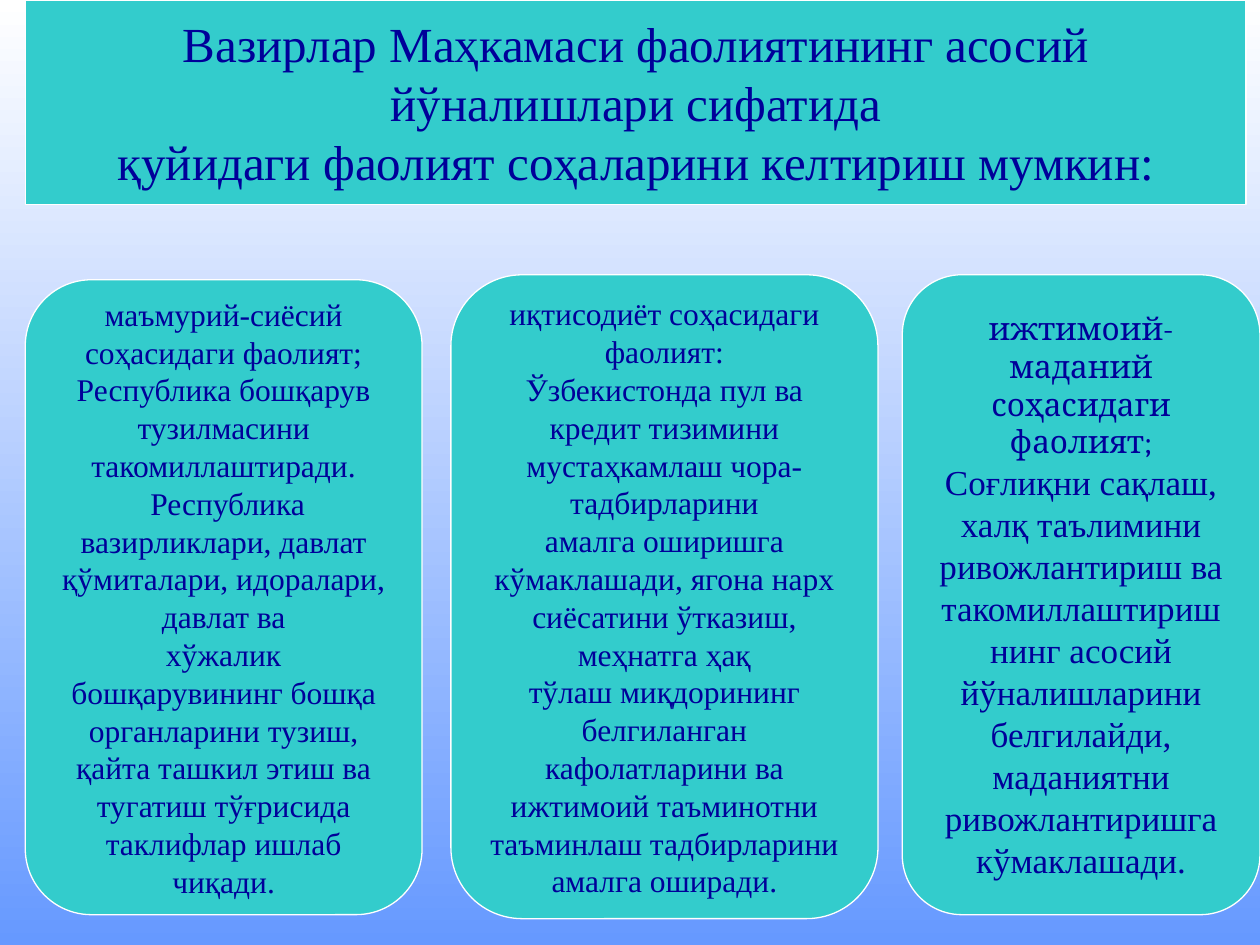
"""Build a slide on the main fields of activity of the Cabinet of Ministers."""
from dataclasses import dataclass

from lxml.etree import SubElement
from pptx import Presentation
from pptx.dml.color import RGBColor as Rgb
from pptx.enum.shapes import MSO_SHAPE as Shape
from pptx.enum.text import MSO_ANCHOR as Anchor, MSO_AUTO_SIZE as AutoSize, PP_ALIGN as Align
from pptx.oxml.ns import qn
from pptx.util import Cm, Pt


@dataclass(frozen=True)
class Theme:
    """Colours, fonts and type sizes of the slide."""
    panel: Rgb = Rgb(0x33, 0xCC, 0xCC)
    outline: Rgb = Rgb(0xFF, 0xFF, 0xFF)
    ink: Rgb = Rgb(0x00, 0x00, 0x99)
    sky: tuple = (Rgb(0xFF, 0xFF, 0xFF), Rgb(0x66, 0x99, 0xFF))
    heading: tuple = ("Times New Roman", 28)
    body: tuple = ("Times New Roman", 18)
    lead: tuple = ("Cambria", 18)
    large: tuple = ("Times New Roman", 20)


THEME = Theme()

HEADING = [
    "Вазирлар Маҳкамаси фаолиятининг асосий йўналишлари сифатида",
    "қуйидаги фаолият соҳаларини келтириш мумкин:",
]
HEADING_BOX = (0.51, 0, 24.61, 4.12)

FIELDS = [
    {
        "box": (0.51, 5.64, 8.0, 12.8),
        "styles": (THEME.body, THEME.body),
        "lines": [
            "маъмурий-сиёсий соҳасидаги фаолият;",
            "Республика бошқарув тузилмасини такомиллаштиради.",
            " Республика вазирликлари, давлат қўмиталари, идоралари, давлат ва",
            "хўжалик бошқарувининг бошқа органларини тузиш, қайта ташкил этиш ва",
            "тугатиш тўғрисида таклифлар ишлаб чиқади.",
        ],
    },
    {
        "box": (9.09, 5.54, 8.61, 12.98),
        "styles": (THEME.body, THEME.body),
        "lines": [
            "иқтисодиёт соҳасидаги фаолият:",
            "Ўзбекистонда пул ва кредит тизимини мустаҳкамлаш чора-тадбирларини",
            "амалга оширишга кўмаклашади, ягона нарх сиёсатини ўтказиш, меҳнатга ҳақ",
            "тўлаш миқдорининг белгиланган кафолатларини ва ижтимоий таъминотни "
            "таъминлаш тадбирларини амалга оширади.",
        ],
    },
    {
        "box": (18.19, 5.54, 7.21, 12.9),
        "styles": (THEME.lead, THEME.large),
        "lines": [
            "ижтимоий-маданий соҳасидаги фаолият;",
            "Соғлиқни сақлаш, халқ таълимини ривожлантириш ва",
            "такомиллаштиришнинг асосий йўналишларини белгилайди, маданиятни",
            "ривожлантиришга кўмаклашади.",
        ],
    },
]


def paint_background(slide):
    fill = slide.background.fill
    fill.gradient()
    fill.gradient_angle = 270
    for stop, colour in zip(fill.gradient_stops, THEME.sky):
        stop.color.rgb = colour


def format_panel(panel, lines, first_style, rest_style):
    panel.shadow.inherit = False
    panel.fill.solid()
    panel.fill.fore_color.rgb = THEME.panel
    panel.line.color.rgb = THEME.outline
    panel.line.width = Pt(0.75)
    frame = panel.text_frame
    frame.word_wrap = True
    frame.auto_size = AutoSize.NONE
    frame.vertical_anchor = Anchor.MIDDLE
    frame.text = "\n".join(lines)
    for index, paragraph in enumerate(frame.paragraphs):
        paragraph.alignment = Align.CENTER
        font = paragraph.font
        font.name, size = rest_style if index else first_style
        font.size = Pt(size)
        font.color.rgb = THEME.ink


def add_heading(slide):
    title = slide.shapes.title
    title.left, title.top, title.width, title.height = map(Cm, HEADING_BOX)
    outline = SubElement(title.element.spPr, qn("a:prstGeom"), prst="roundRect")
    SubElement(outline, qn("a:avLst"))
    format_panel(title, HEADING, THEME.heading, THEME.heading)


def add_field(slide, field):
    panel = slide.shapes.add_shape(Shape.ROUNDED_RECTANGLE, *map(Cm, field["box"]))
    format_panel(panel, field["lines"], *field["styles"])


def main():
    deck = Presentation()
    deck.slide_width, deck.slide_height = Cm(25.4), Cm(19.05)
    slide = deck.slides.add_slide(deck.slide_layouts[5])
    paint_background(slide)
    add_heading(slide)
    for field in FIELDS:
        add_field(slide, field)
    deck.save("out.pptx")


if __name__ == "__main__":
    main()
